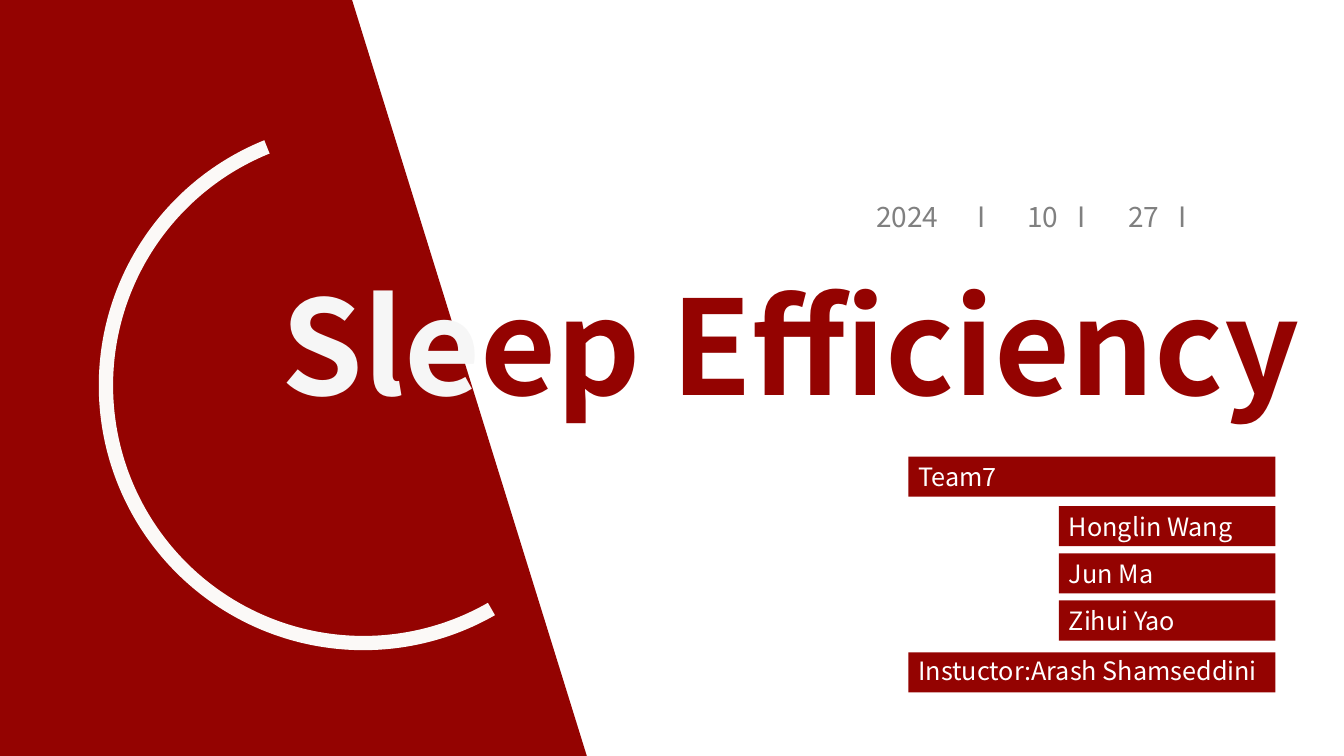
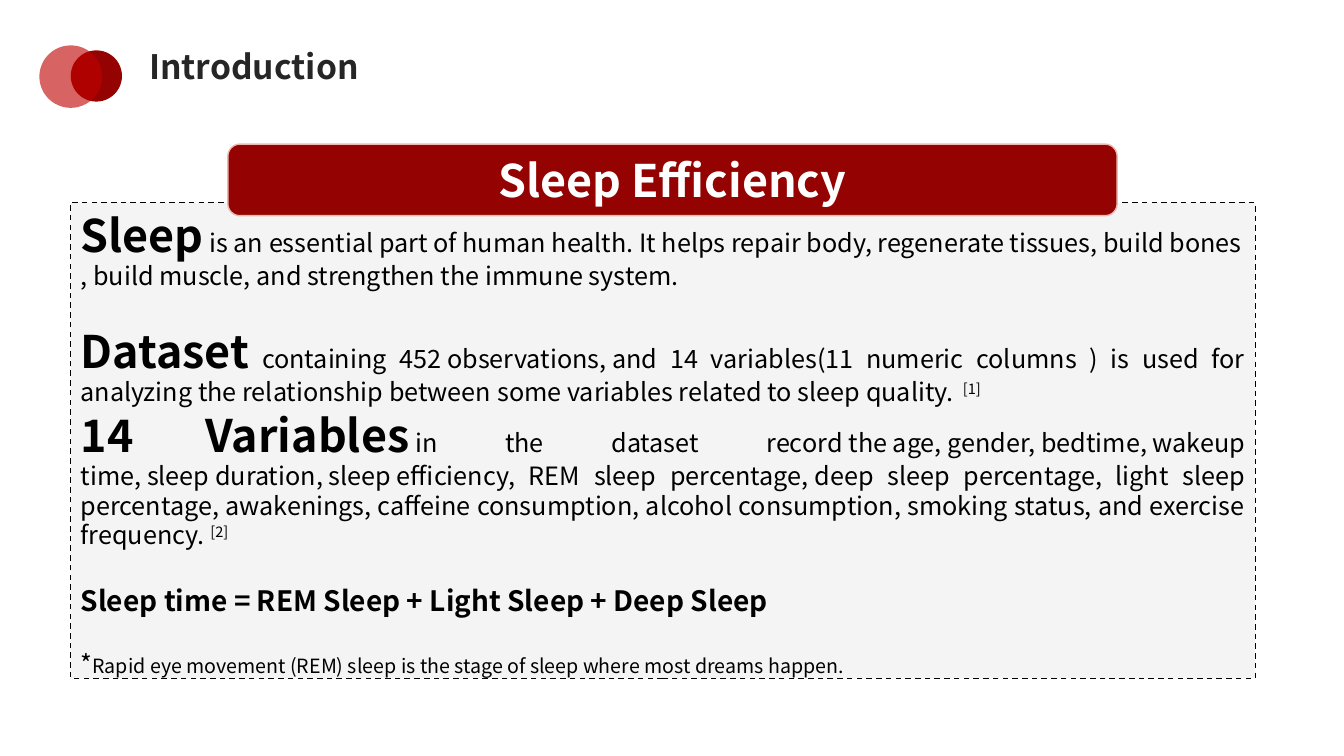
from dataclasses import dataclass

from lxml import etree
from pptx import Presentation
from pptx.dml.color import RGBColor
from pptx.enum.dml import MSO_LINE
from pptx.enum.shapes import MSO_SHAPE
from pptx.enum.text import MSO_ANCHOR, MSO_AUTO_SIZE, PP_ALIGN
from pptx.oxml.ns import qn
from pptx.util import Inches, Pt

RECTANGLE = MSO_SHAPE.RECTANGLE
ROUNDED = MSO_SHAPE.ROUNDED_RECTANGLE
ELLIPSE = MSO_SHAPE.OVAL
ARC = MSO_SHAPE.BLOCK_ARC
DASH = MSO_LINE.DASH
TOP, MIDDLE = MSO_ANCHOR.TOP, MSO_ANCHOR.MIDDLE
LEFT, CENTER, RIGHT = PP_ALIGN.LEFT, PP_ALIGN.CENTER, PP_ALIGN.RIGHT
JUSTIFY = PP_ALIGN.JUSTIFY
NO_AUTOFIT = MSO_AUTO_SIZE.NONE
COVER_LAYOUT, CONTENT_LAYOUT = 0, 1
HARD_SPACE = chr(160)


@dataclass(frozen=True)
class Theme:
    font: str = "Noto Sans CJK SC"
    red: str = "940301"
    bright_red: str = "C00000"
    pink: str = "EDB7B1"
    white: str = "FFFFFF"
    off_white: str = "F6F6F6"
    cream: str = "FBF9F7"
    panel: str = "F2F2F2"
    gray: str = "808080"
    dark: str = "262626"
    black: str = "000000"
    cover: float = 93.6
    heading: float = 32
    title: float = 24
    emphasis: float = 20
    text: float = 18
    note: float = 14


@dataclass(frozen=True)
class Box:
    left: float
    top: float
    width: float
    height: float

    def share(self, x, y, width, height):
        return Box(self.left + x * self.width, self.top + y * self.height,
                   width * self.width, height * self.height)

    def lengths(self):
        return [Inches(v) for v in (self.left, self.top, self.width, self.height)]


THEME = Theme()
PAGE = Box(0, 0, 13.33, 7.5)


def rgb(color):
    return RGBColor.from_string(color)


def paint(shape, fill, alpha=None, line=None, dash=None):
    shape.fill.solid()
    shape.fill.fore_color.rgb = rgb(fill)
    if alpha:
        color = shape.element.find(".//" + qn("a:srgbClr"))
        etree.SubElement(color, qn("a:alpha")).set("val", str(alpha * 1000))
    if line:
        shape.line.color.rgb = rgb(line)
        shape.line.width = Pt(1)
        if dash:
            shape.line.dash_style = dash
    else:
        shape.line.fill.background()


def add_shape(slide, kind, box, fill, **look):
    shape = slide.shapes.add_shape(kind, *box.lengths())
    shape.shadow.inherit = False
    paint(shape, fill, **look)
    return shape


def move(shape, box):
    shape.left, shape.top, shape.width, shape.height = box.lengths()


def set_frame(shape, anchor=MIDDLE, margins=(0.1, 0.05, 0.1, 0.05)):
    frame = shape.text_frame
    frame.word_wrap = True
    frame.auto_size = NO_AUTOFIT
    frame.vertical_anchor = anchor
    (frame.margin_left, frame.margin_top,
     frame.margin_right, frame.margin_bottom) = [Inches(v) for v in margins]
    return frame


def write(paragraph, runs, align=LEFT, before=0, spacing=None):
    paragraph.alignment = align
    paragraph.space_before = Pt(before)
    if spacing:
        paragraph.line_spacing = spacing
    properties = paragraph._p.get_or_add_pPr()
    properties.set("marL", "0")
    properties.set("indent", "0")
    etree.SubElement(properties, qn("a:buNone"))
    for text, size, color, bold, *baseline in runs:
        run = paragraph.add_run()
        run.text = text.replace("~", HARD_SPACE)
        run.font.name = THEME.font
        run.font.size = Pt(size)
        run.font.bold = bold
        run.font.color.rgb = rgb(color)
        if baseline:
            run.font._element.set("baseline", str(baseline[0] * 1000))
    return properties


def send_to_back(shape):
    shape.element.getparent().insert(2, shape.element)


def wedge(slide, box):
    outline = [(0.6, 0), (1, 1), (0, 1), (0, 0)]
    points = [(Inches(box.left + x * box.width), Inches(box.top + y * box.height))
              for x, y in outline]
    builder = slide.shapes.build_freeform(*points[0])
    builder.add_line_segments(points[1:], close=True)
    shape = builder.convert_to_shape()
    shape.shadow.inherit = False
    paint(shape, THEME.red)
    return shape


def open_ring(slide, box):
    shape = add_shape(slide, ARC, box, THEME.cream)
    shape.rotation = 240.2
    for index, value in enumerate((108, 4.675, 0.027)):
        shape.adjustments[index] = value
    return shape


def date_line(shape, box):
    move(shape, box)
    paragraph = set_frame(shape).paragraphs[0]
    properties = write(paragraph, [("2024\tI\t10\tI\t27\tI", THEME.emphasis, THEME.gray, False)])
    tabs = etree.SubElement(properties, qn("a:tabLst"))
    for position in (1, 1.38, 2.01, 2.4, 3.09):
        tab = etree.SubElement(tabs, qn("a:tab"))
        tab.set("pos", str(Inches(position)))
        tab.set("algn", "l")


def team_list(slide, box):
    member = 0.41
    rows = [
        ("Team7", 0, 0, None),
        ("Honglin Wang", member, 0.21, None),
        ("Jun Ma", member, 0.41, None),
        ("Zihui Yao", member, 0.61, None),
        ("Instuctor:Arash Shamseddini", 0, 0.83, 0.9),
    ]
    for label, indent, top, spacing in rows:
        bar = add_shape(slide, RECTANGLE, box.share(indent, top, 1 - indent, 0.17), THEME.red)
        write(set_frame(bar).paragraphs[0],
              [(label, THEME.text, THEME.white, False)], spacing=spacing)


def cover_slide(presentation):
    slide = presentation.slides.add_slide(presentation.slide_layouts[COVER_LAYOUT])
    title, date = slide.placeholders
    move(title, Box(0.79, 1.98, 12.2, 2.84))
    write(set_frame(title).paragraphs[0],
          [("Sle", THEME.cover, THEME.off_white, True),
           ("ep Efficiency", THEME.cover, THEME.red, True)], RIGHT)
    date_line(date, Box(8.59, 1.93, 4.2, 0.44))
    send_to_back(open_ring(slide, Box(0.98, 1.2, 5.25, 5.25)))
    send_to_back(wedge(slide, Box(0, 0, 5.82, PAGE.height)))
    team_list(slide, Box(9.01, 4.53, 3.64, 2.34))


def title_mark(slide, box):
    add_shape(slide, ELLIPSE, box.share(0.38, 0.08, 0.62, 0.82), THEME.red)
    add_shape(slide, ELLIPSE, box.share(0, 0, 0.76, 1), THEME.bright_red, alpha=61)


def introduction_panel(shape, box):
    move(shape, box)
    paint(shape, THEME.panel, alpha=80, line=THEME.black, dash=DASH)
    frame = set_frame(shape, TOP, (0.1, 0.29, 0.1, 0))

    def lead(text):
        return text, THEME.heading, THEME.black, True

    def plain(text, *baseline):
        return text, THEME.text, THEME.black, False, *baseline

    blocks = [
        (LEFT, 0, [
            lead("Sleep"),
            plain(" is an essential part of human health. It helps repair body, regenerate "
                  "tissues, build bones , build muscle, and strengthen the immune system.~")]),
        (JUSTIFY, 41, [
            lead("Dataset"),
            plain(" containing 452~observations,~and 14 variables(11 numeric columns ) is used "
                  "for analyzing the relationship between~some~variables related to "
                  "sleep~quality.~"),
            plain(" [1] ", 30)]),
        (JUSTIFY, 18, [
            lead("14 Variables"),
            plain("~in the dataset record~the~age,~gender,~bedtime,~wakeup time,~sleep~duration,"
                  "~sleep~efficiency, REM sleep percentage,~deep sleep percentage, light sleep "
                  "percentage, awakenings, caffeine consumption, alcohol consumption, smoking "
                  "status, and exercise frequency. "),
            plain("[2]", 30)]),
        (LEFT, 27, [("Sleep time = REM Sleep + Light Sleep + Deep Sleep",
                     THEME.emphasis, THEME.black, True)]),
        (LEFT, 23, [
            plain("*"),
            ("Rapid eye movement (REM) sleep is the stage of sleep where most dreams happen.",
             THEME.note, THEME.black, False)]),
    ]
    for index, (align, before, runs) in enumerate(blocks):
        paragraph = frame.add_paragraph() if index else frame.paragraphs[0]
        write(paragraph, runs, align, before, Pt(21))


def banner(slide, box, label):
    shape = add_shape(slide, ROUNDED, box, THEME.red, line=THEME.pink)
    write(set_frame(shape).paragraphs[0],
          [(label, THEME.heading, THEME.white, True)], CENTER)


def introduction_slide(presentation):
    slide = presentation.slides.add_slide(presentation.slide_layouts[CONTENT_LAYOUT])
    title, body = slide.placeholders
    move(title, Box(1.41, 0.42, 11.75, 0.47))
    write(set_frame(title, margins=(0.07, 0.03, 0.07, 0.03)).paragraphs[0],
          [("Introduction", THEME.title, THEME.dark, True)])
    introduction_panel(body, Box(0.7, 2.01, 11.75, 4.72))
    banner(slide, Box(2.26, 1.43, 8.82, 0.71), "Sleep Efficiency")
    title_mark(slide, Box(0.39, 0.45, 0.82, 0.62))


def main():
    presentation = Presentation()
    presentation.slide_width = Inches(PAGE.width)
    presentation.slide_height = Inches(PAGE.height)
    cover_slide(presentation)
    introduction_slide(presentation)
    presentation.save("out.pptx")


if __name__ == "__main__":
    main()
